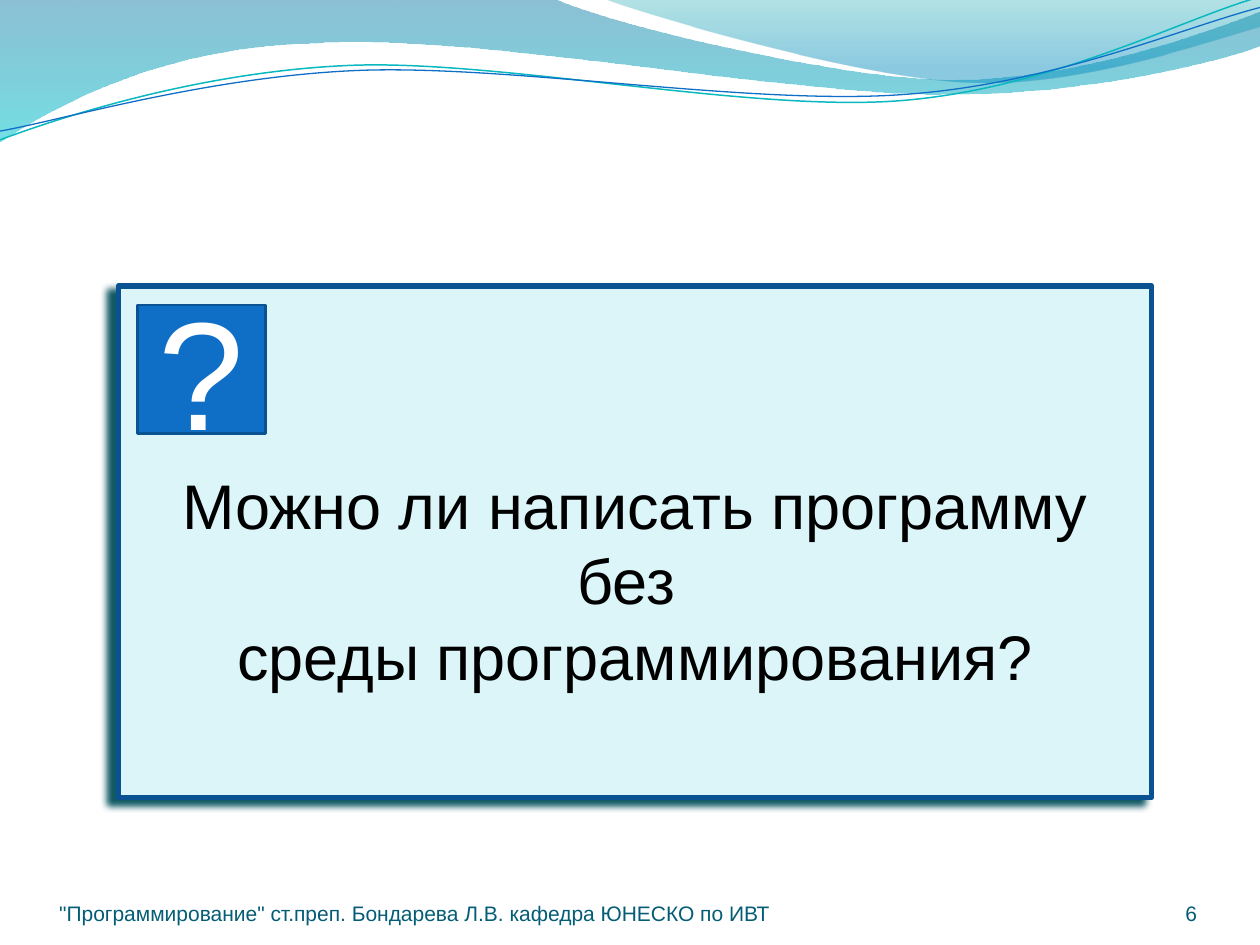
import math

import pptx
import pptx.dml.color
import pptx.enum.shapes
import pptx.enum.text
import pptx.oxml
import pptx.oxml.ns
import pptx.util

Pt = pptx.util.Pt
ALIGN = pptx.enum.text.PP_ALIGN
ANCHOR = pptx.enum.text.MSO_ANCHOR
DRAWING = pptx.oxml.ns.nsdecls("a")
qn = pptx.oxml.ns.qn
TILT = -2.7
WAVE_LINE_CENTER = (359.5, 42)

# Each wave: start point, then line (1 point) or Bezier (3 points) pieces, in points.
BROAD_WAVE = [
    [(0, 0)], [(316.8, -0.7)],
    [(342.7, 12.2), (478.1, 45.4), (545.8, 45.4)],
    [(614.2, 45.4), (689.8, 18.7), (720, 6.5)],
    [(720.7, 25.9)],
    [(707.8, 31.7), (626.4, 54.7), (537.1, 54)],
    [(446.4, 54), (275, 20.2), (185, 24.5)],
    [(92.9, 25.9), (33.1, 59.8), (-0.7, 81.4)],
]
RIGHT_WAVE = [
    [(344.9, -0.7)],
    [(366.5, 7.9), (491, 44.6), (553.7, 46.8)],
    [(616.3, 49.7), (691.9, 23), (720, 15.1)],
    [(720, 0)],
]
TEAL_LINE = [
    [(0, 79.9)],
    [(34.6, 67), (113.8, 41), (199.4, 37.4)],
    [(284.4, 33.8), (427, 64.1), (513.4, 57.6)],
    [(599.8, 51.1), (675.4, 10.8), (718.6, -1.4)],
]
BLUE_LINE = [
    [(0, 74.9)],
    [(33.8, 69.1), (118.1, 43.9), (203.8, 40.3)],
    [(290.2, 36.7), (429.8, 60.5), (516.2, 54)],
    [(601.9, 48.2), (677.5, 15.1), (720, 4.3)],
]


def color(hex_string):
    return pptx.dml.color.RGBColor.from_string(hex_string)


def level(point):
    """Undo the tilt of a point, so that the shape's rotation can restore it."""
    angle = math.radians(-TILT)
    center_x, center_y = WAVE_LINE_CENTER
    x, y = point[0] - center_x, point[1] - center_y
    return (center_x + x * math.cos(angle) - y * math.sin(angle),
            center_y + x * math.sin(angle) + y * math.cos(angle))


def add_outline(shapes, pieces, close):
    """Join the end points of the pieces, then bend the Bezier pieces."""
    ends = [(Pt(x), Pt(y)) for x, y in (piece[-1] for piece in pieces)]
    builder = shapes.build_freeform(*ends[0])
    builder.add_line_segments(ends[1:], close=close)
    shape = builder.convert_to_shape()
    shape.shadow.inherit = False
    segments = list(shape._element.spPr.iter(qn("a:lnTo")))
    for piece, segment in zip(pieces[1:], segments):
        if len(piece) == 3:
            points = "".join(
                f'<a:pt x="{Pt(x) - shape.left}" y="{Pt(y) - shape.top}"/>' for x, y in piece)
            curve = pptx.oxml.parse_xml(f"<a:cubicBezTo {DRAWING}>{points}</a:cubicBezTo>")
            segment.getparent().replace(segment, curve)
    return shape


def add_wave(shapes, pieces, stops):
    """Add a filled wave; stops are (position %, colour, opacity %), top to bottom."""
    shape = add_outline(shapes, pieces, True)
    shape.line.fill.background()
    stop_xml = "".join(
        f'<a:gs pos="{position * 1000}"><a:srgbClr val="{hex_string}">'
        f'<a:alpha val="{opacity * 1000}"/></a:srgbClr></a:gs>'
        for position, hex_string, opacity in stops)
    gradient = pptx.oxml.parse_xml(
        f'<a:gradFill {DRAWING} rotWithShape="1"><a:gsLst>{stop_xml}</a:gsLst>'
        '<a:lin ang="5400000" scaled="0"/></a:gradFill>')
    shape._element.spPr.find(qn("a:custGeom")).addnext(gradient)


def add_wave_line(shapes, pieces, hex_string, width):
    level_pieces = [[level(point) for point in piece] for piece in pieces]
    shape = add_outline(shapes, level_pieces, False)
    shape.rotation = TILT
    shape.fill.background()
    shape.line.color.rgb = color(hex_string)
    shape.line.width = Pt(width)


def write_text(frame, lines, size, hex_string, alignment, anchor):
    frame.word_wrap = True
    frame.vertical_anchor = anchor
    for index, line in enumerate(lines):
        paragraph = frame.add_paragraph() if index else frame.paragraphs[0]
        paragraph.alignment = alignment
        run = paragraph.add_run()
        run.text = line
        run.font.size = Pt(size)
        run.font.name = "Arial"
        run.font.color.rgb = color(hex_string)


def add_box(shapes, left, top, width, height, fill, line_width):
    shape = shapes.add_shape(
        pptx.enum.shapes.MSO_SHAPE.RECTANGLE, Pt(left), Pt(top), Pt(width), Pt(height))
    shape.shadow.inherit = False
    shape.fill.solid()
    shape.fill.fore_color.rgb = color(fill)
    shape.line.color.rgb = color("0B5292")
    shape.line.width = Pt(line_width)
    return shape


def add_shadow(shape, hex_string, blur, distance, degrees):
    effects = shape._element.spPr.find(qn("a:effectLst"))
    effects.append(pptx.oxml.parse_xml(
        f'<a:outerShdw {DRAWING} blurRad="{Pt(blur)}" dist="{Pt(distance)}" '
        f'dir="{degrees * 60000}" algn="tl" rotWithShape="0">'
        f'<a:srgbClr val="{hex_string}"/></a:outerShdw>'))


def add_footer(shapes, text, left, width, alignment):
    frame = shapes.add_textbox(Pt(left), Pt(500.4), Pt(width), Pt(28.8)).text_frame
    frame.margin_left = frame.margin_right = frame.margin_top = frame.margin_bottom = 0
    write_text(frame, [text], 12, "045D75", alignment, ANCHOR.BOTTOM)


def add_question(shapes):
    panel = add_box(shapes, 67.7, 163.4, 590.4, 292.3, "DBF5F9", 3.25)
    add_shadow(panel, "115964", 4, 6, 150)
    panel.text_frame.margin_top = Pt(47)
    write_text(panel.text_frame,
               ["Можно ли написать программу без ", "среды программирования?"],
               36, "000000", ALIGN.CENTER, ANCHOR.MIDDLE)
    icon = add_box(shapes, 78.5, 174.2, 73.4, 73.4, "0F6FC6", 1.5)
    write_text(icon.text_frame, ["?"], 88, "FFFFFF", ALIGN.CENTER, ANCHOR.MIDDLE)


def main():
    presentation = pptx.Presentation()
    presentation.slide_width, presentation.slide_height = Pt(720), Pt(540)
    shapes = presentation.slides.add_slide(presentation.slide_layouts[6]).shapes
    add_wave(shapes, BROAD_WAVE, [(0, "0074A1", 45), (100, "00C6CF", 55)])
    add_wave(shapes, RIGHT_WAVE, [(0, "00A1A9", 30), (80, "008BBF", 45)])
    wave_lines = shapes.add_group_shape().shapes
    add_wave_line(wave_lines, TEAL_LINE, "0AB8BF", 0.85)
    add_wave_line(wave_lines, BLUE_LINE, "0F6FC6", 0.75)
    add_footer(shapes, "6", 624.2, 59.8, ALIGN.RIGHT)
    add_footer(shapes, '"Программирование" ст.преп. Бондарева Л.В. кафедра ЮНЕСКО по ИВТ',
               33.8, 439.9, ALIGN.LEFT)
    add_question(shapes.add_group_shape().shapes)
    presentation.save("out.pptx")


if __name__ == "__main__":
    main()
